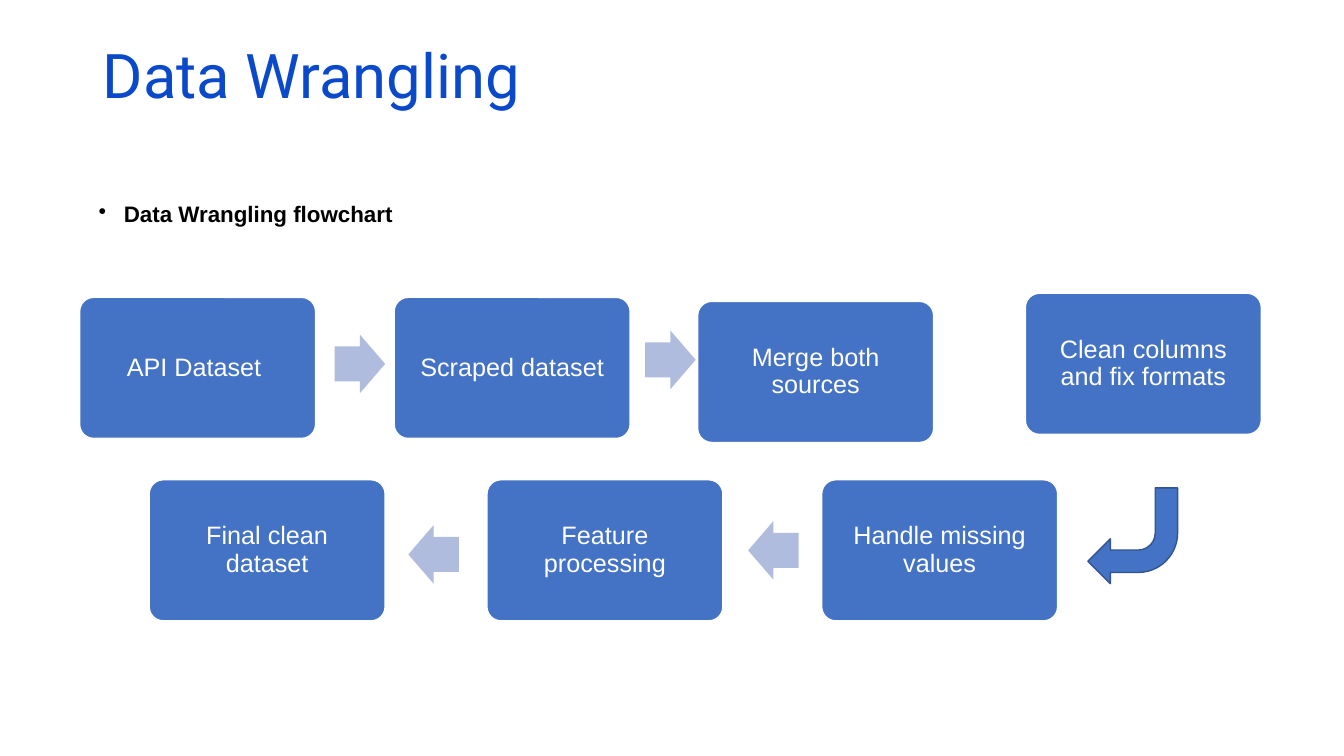
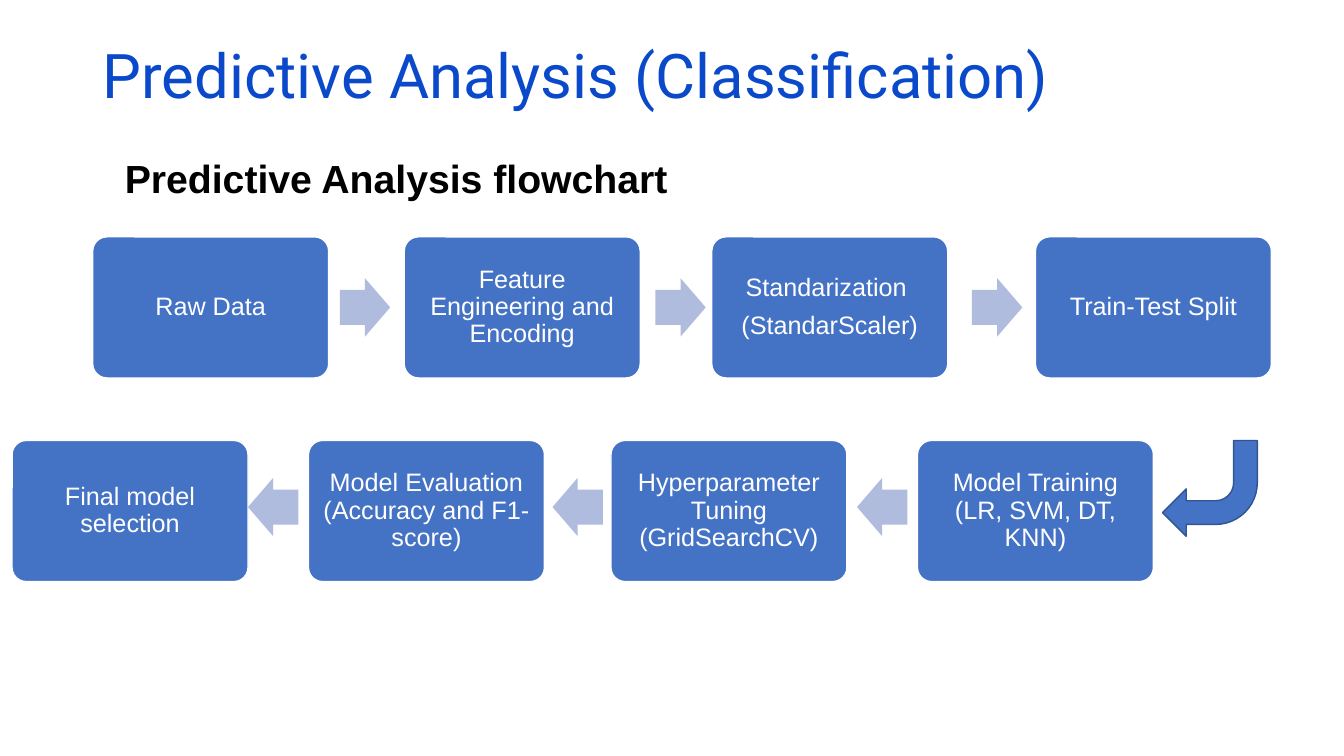
"""Build two flowchart slides on data wrangling and predictive analysis."""
from dataclasses import dataclass

import lxml.etree
import pptx
import pptx.dml.color
import pptx.enum.shapes
import pptx.enum.text
import pptx.oxml.ns
import pptx.presentation
import pptx.shapes.autoshape
import pptx.slide
import pptx.text.text
import pptx.util

Inches = pptx.util.Inches
Pt = pptx.util.Pt
Preset = pptx.enum.shapes.MSO_SHAPE
Anchor = pptx.enum.text.MSO_ANCHOR
Align = pptx.enum.text.PP_ALIGN

COLORS = {
    "title": "0B49CB",
    "heading": "000000",
    "step": "4472C4",
    "step_edge": "FFFFFF",
    "step_text": "FFFFFF",
    "arrow": "B0BCDE",
    "turn_edge": "325491",
}
STEP_WIDTH, STEP_HEIGHT = 2.34, 1.4
ARROW_WIDTH, ARROW_HEIGHT = 0.5, 0.58
LINE_SPACING = 0.9
FORWARD, BACK = 0, 180


@dataclass(frozen=True)
class Step:
    label: str
    left: float
    top: float
    inset: float = 0.07
    space_after: float = 7.5


@dataclass(frozen=True)
class Arrow:
    left: float
    top: float
    rotation: int


@dataclass(frozen=True)
class Turn:
    left: float
    top: float
    width: float
    height: float = 0.95


@dataclass(frozen=True)
class Heading:
    text: str
    left: float
    top: float
    height: float
    size: int
    indent: float
    bullet: bool = False


@dataclass(frozen=True)
class Flowchart:
    title: str
    title_height: float
    heading: Heading
    steps: list[Step]
    arrows: list[Arrow]
    turn: Turn


def rgb(name: str) -> pptx.dml.color.RGBColor:
    return pptx.dml.color.RGBColor.from_string(COLORS[name])


def style_paragraph(paragraph: pptx.text.text._Paragraph, font: str, size: int, color: str,
                    align: Align = Align.LEFT, bold: bool = False) -> None:
    paragraph.alignment = align
    paragraph.line_spacing = LINE_SPACING
    paragraph.font.name = font
    paragraph.font.size = Pt(size)
    paragraph.font.bold = bold
    paragraph.font.color.rgb = rgb(color)


def write_title(slide: pptx.slide.Slide, text: str, height: float) -> None:
    title = slide.shapes.title
    title.left, title.top = Inches(0.92), Inches(0.4)
    title.width, title.height = Inches(11.5), Inches(height)
    frame = title.text_frame
    frame.text = text
    frame.auto_size = pptx.enum.text.MSO_AUTO_SIZE.NONE
    frame.vertical_anchor = Anchor.TOP
    style_paragraph(frame.paragraphs[0], "Roboto", 44, "title")


def write_heading(slide: pptx.slide.Slide, heading: Heading) -> None:
    box = slide.shapes.add_textbox(Inches(heading.left), Inches(heading.top),
                                   Inches(11.5), Inches(heading.height))
    frame = box.text_frame
    frame.word_wrap = True
    frame.text = heading.text
    paragraph = frame.paragraphs[0]
    properties = paragraph._p.get_or_add_pPr()
    properties.set("marL", str(Inches(heading.indent)))
    if heading.bullet:
        properties.set("indent", str(-Inches(heading.indent)))
        bullet = lxml.etree.SubElement(properties, pptx.oxml.ns.qn("a:buChar"))
        bullet.set("char", "•")
    style_paragraph(paragraph, "Arial", heading.size, "heading", bold=True)


def draw_shape(slide: pptx.slide.Slide, preset: Preset, left: float, top: float,
               width: float, height: float, adjustments: list[float], fill: str,
               edge: str | None = None,
               rotation: int = FORWARD) -> pptx.shapes.autoshape.Shape:
    shape = slide.shapes.add_shape(preset, Inches(left), Inches(top),
                                   Inches(width), Inches(height))
    shape.shadow.inherit = False
    shape.rotation = rotation
    for index, value in enumerate(adjustments):
        shape.adjustments[index] = value
    shape.fill.solid()
    shape.fill.fore_color.rgb = rgb(fill)
    if edge:
        shape.line.color.rgb = rgb(edge)
        shape.line.width = Pt(1)
    else:
        shape.line.fill.background()
    return shape


def draw_step(slide: pptx.slide.Slide, step: Step) -> None:
    shape = draw_shape(slide, Preset.ROUNDED_RECTANGLE, step.left, step.top,
                       STEP_WIDTH, STEP_HEIGHT, [0.1], "step", "step_edge")
    frame = shape.text_frame
    frame.text = step.label
    frame.word_wrap = True
    frame.vertical_anchor = Anchor.MIDDLE
    inset = Inches(step.inset)
    frame.margin_left = frame.margin_right = inset
    frame.margin_top = frame.margin_bottom = inset
    for paragraph in frame.paragraphs:
        style_paragraph(paragraph, "Arial", 18, "step_text", Align.CENTER)
        paragraph.space_after = Pt(step.space_after)


def draw_arrow(slide: pptx.slide.Slide, arrow: Arrow) -> None:
    draw_shape(slide, Preset.RIGHT_ARROW, arrow.left, arrow.top, ARROW_WIDTH,
               ARROW_HEIGHT, [0.6, 0.5], "arrow", rotation=arrow.rotation)


def draw_turn(slide: pptx.slide.Slide, turn: Turn) -> None:
    draw_shape(slide, Preset.BENT_ARROW, turn.left, turn.top, turn.width, turn.height,
               [0.25, 0.25, 0.25, 0.44], "step", "turn_edge", BACK)


def add_flowchart(deck: pptx.presentation.Presentation, chart: Flowchart) -> None:
    slide = deck.slides.add_slide(deck.slide_layouts[5])
    write_title(slide, chart.title, chart.title_height)
    write_heading(slide, chart.heading)
    for step in chart.steps:
        draw_step(slide, step)
    for arrow in chart.arrows:
        draw_arrow(slide, arrow)
    draw_turn(slide, chart.turn)


WRANGLING = Flowchart(
    title="Data Wrangling",
    title_height=1.45,
    heading=Heading("Data Wrangling flowchart", 0.88, 1.97, 4.76, 16, 0.25, bullet=True),
    steps=[
        Step("API Dataset ", 0.79, 2.95),
        Step("Scraped dataset", 3.91, 2.95),
        Step("Merge both sources", 6.92, 2.99),
        Step("Clean columns and fix formats", 10.17, 2.91),
        Step("Handle missing values", 8.15, 4.76),
        Step("Feature processing", 4.83, 4.76, 0.22, 22.7),
        Step("Final clean dataset", 1.48, 4.76, 0.22, 22.7),
    ],
    arrows=[
        Arrow(3.32, 3.32, FORWARD),
        Arrow(6.4, 3.28, FORWARD),
        Arrow(7.42, 5.17, BACK),
        Arrow(4.05, 5.21, BACK),
    ],
    turn=Turn(10.79, 4.84, 0.89),
)

PREDICTION_TOP, PREDICTION_BOTTOM = 2.35, 4.37
PREDICTION = Flowchart(
    title="Predictive Analysis (Classification)",
    title_height=1.21,
    heading=Heading("Predictive Analysis flowchart", 0.92, 1.53, 5.23, 28, 0.22),
    steps=[
        Step("Raw Data", 0.92, PREDICTION_TOP),
        Step("Feature Engineering and Encoding", 4.01, PREDICTION_TOP),
        Step("Standarization \n(StandarScaler)", 7.06, PREDICTION_TOP),
        Step("Train-Test Split", 10.27, PREDICTION_TOP),
        Step("Model Training (LR, SVM, DT, KNN)", 9.1, PREDICTION_BOTTOM),
        Step("Hyperparameter Tuning (GridSearchCV)", 6.06, PREDICTION_BOTTOM),
        Step("Model Evaluation (Accuracy and F1-score)", 3.06, PREDICTION_BOTTOM),
        Step("Final model selection", 0.12, PREDICTION_BOTTOM),
    ],
    arrows=[Arrow(left, 2.76, FORWARD) for left in (3.37, 6.5, 9.64)]
    + [Arrow(left, 4.74, BACK) for left in (8.5, 5.48, 2.46)],
    turn=Turn(11.53, PREDICTION_BOTTOM, 0.94),
)


def main() -> None:
    deck = pptx.Presentation()
    deck.slide_width, deck.slide_height = Inches(13.33), Inches(7.5)
    for chart in (WRANGLING, PREDICTION):
        add_flowchart(deck, chart)
    deck.save("out.pptx")


if __name__ == "__main__":
    main()
